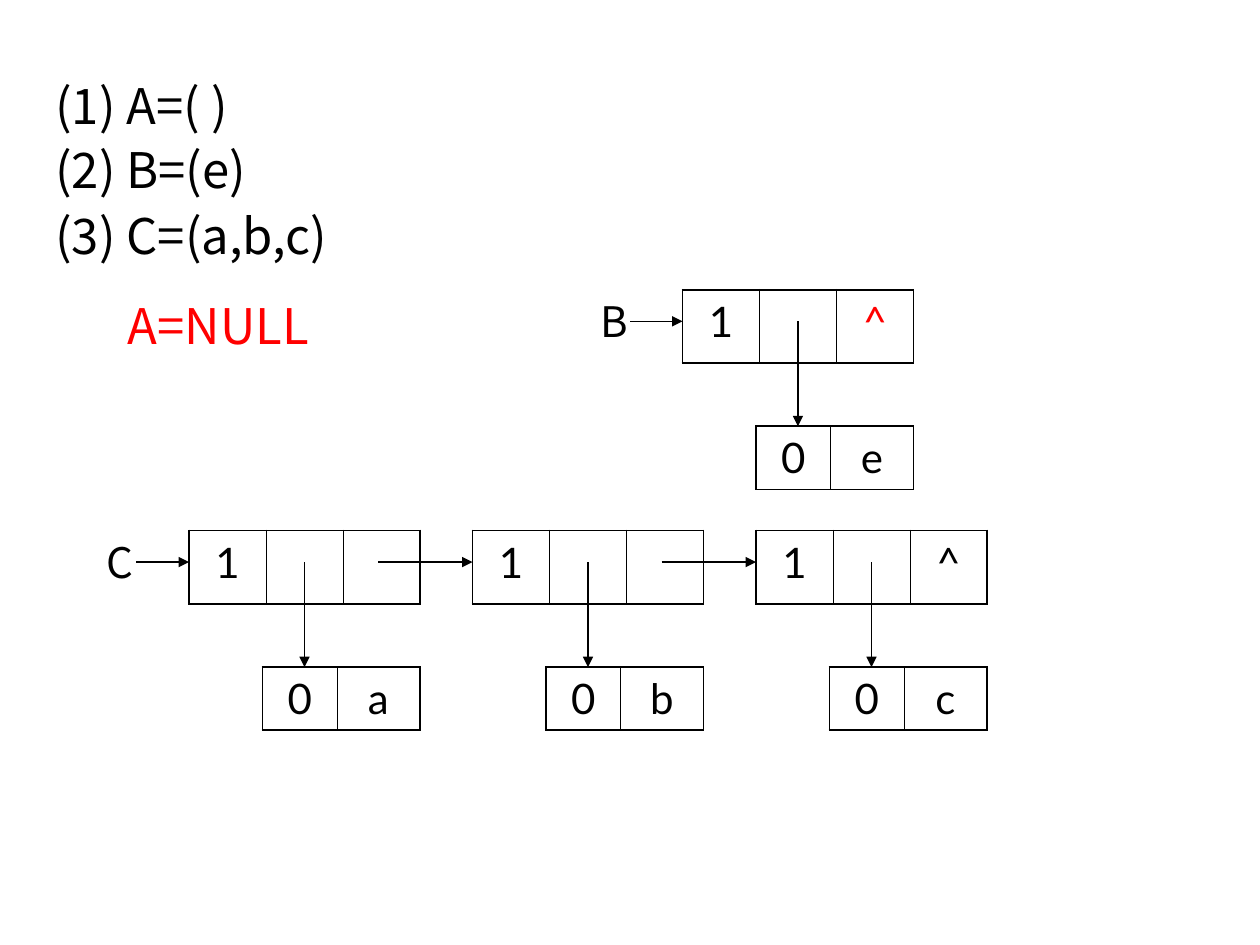
from lxml import etree
from pptx import Presentation
from pptx import util as u
from pptx.dml.color import RGBColor
from pptx.enum import shapes, text
from pptx.oxml import ns

Pt = u.Pt
BLACK, RED = "000000", "FF0000"
NOTO, LATO = "Noto Sans CJK SC", "Lato"

LISTS = ["(1) A=( )", "(2) B=(e)", "(3) C=(a,b,c)"]
# name, left of first node, top, atoms, colour of the end mark
CHAINS = [
    ("B", 390, 165.6, ["e"], RED),
    ("C", 108, 303.2, ["a", "b", "c"], BLACK),
]
NODE, NODE_H = [44, 44, 44], 42
ATOM, ATOM_H = [42.5, 47.5], 36
STEP = 162          # from one node to the next
MID = 18            # arrow height inside a node
DROP = 78           # from node top to atom top
SHIFT = 42          # from node left to atom left

deck = Presentation()
deck.slide_width, deck.slide_height = Pt(720), Pt(540)
slide = deck.slides.add_slide(deck.slide_layouts[6])


def rgb(code):
    return RGBColor.from_string(code)


def style(para, size, face, color, **form):
    for key, val in form.items():
        setattr(para, key, val)
    for key, val in {"size": Pt(size), "name": face}.items():
        setattr(para.font, key, val)
    para.font.color.rgb = rgb(color)


def label(lines, x, y, w, h, size, color=BLACK, indent=0):
    box = slide.shapes.add_textbox(Pt(x), Pt(y), Pt(w), Pt(h))
    frame = box.text_frame
    frame.word_wrap = True
    frame.margin_left = Pt(7.2 + indent)
    frame.text = "\n".join(lines)
    for i, para in enumerate(frame.paragraphs):
        form = {"space_before": Pt(7), "line_spacing": 0.9} if i else {}
        style(para, size, NOTO, color, **form)


def border(cell, side, width):
    props = cell._tc.get_or_add_tcPr()
    line = etree.SubElement(props, ns.qn("a:ln" + side), w=str(Pt(width)))
    fill = etree.SubElement(line, ns.qn("a:solidFill"))
    etree.SubElement(fill, ns.qn("a:srgbClr"), val=BLACK)


def record(words, cols, x, y, h, mark=BLACK):
    """Draw a one-row table; mark colours the last field."""
    frame = slide.shapes.add_table(1, len(cols), Pt(x), Pt(y), Pt(sum(cols)), Pt(h))
    table = frame.table
    table.first_row = table.horz_banding = False
    table.rows[0].height = Pt(h)
    last = len(cols) - 1
    for i, (word, w) in enumerate(zip(words, cols)):
        table.columns[i].width = Pt(w)
        cell = table.cell(0, i)
        edges = {"L": 0.45 if i else 1.08, "R": 0.45 if i < last else 1.08,
                 "T": 1.08, "B": 1.08}
        for side, width in edges.items():
            border(cell, side, width)
        cell.fill.background()
        cell.text = word
        style(cell.text_frame.paragraphs[0], 24, LATO,
              mark if i == last else BLACK, alignment=text.PP_ALIGN.CENTER)


def arrow(x1, y1, x2, y2):
    line = slide.shapes.add_connector(
        shapes.MSO_CONNECTOR.STRAIGHT, Pt(x1), Pt(y1), Pt(x2), Pt(y2))
    line.line.width = Pt(0.75)
    line.line.color.rgb = rgb(BLACK)
    etree.SubElement(line.line._get_or_add_ln(), ns.qn("a:tailEnd"), type="triangle")
    etree.SubElement(line._element.spPr, ns.qn("a:effectLst"))


label(LISTS, 12, 39.6, 268.8, 120, 28, indent=12.5)
label(["A=NULL"], 66, 165.6, 234, 41, 28, RED)

for name, left, top, atoms, mark in CHAINS:
    label([name], left - 54, top, 30, 36, 24)
    arrow(left - 30, top + MID, left, top + MID)
    for i, atom in enumerate(atoms):
        x = left + i * STEP
        end = i == len(atoms) - 1
        record(["1", "", "^" if end else ""], NODE, x, top, NODE_H, mark)
        record(["0", atom], ATOM, x + SHIFT, top + DROP, ATOM_H)
        arrow(x + 66, top + MID, x + 66, top + DROP)
        if not end:
            arrow(x + 108, top + MID, x + STEP, top + MID)

deck.save("out.pptx")
